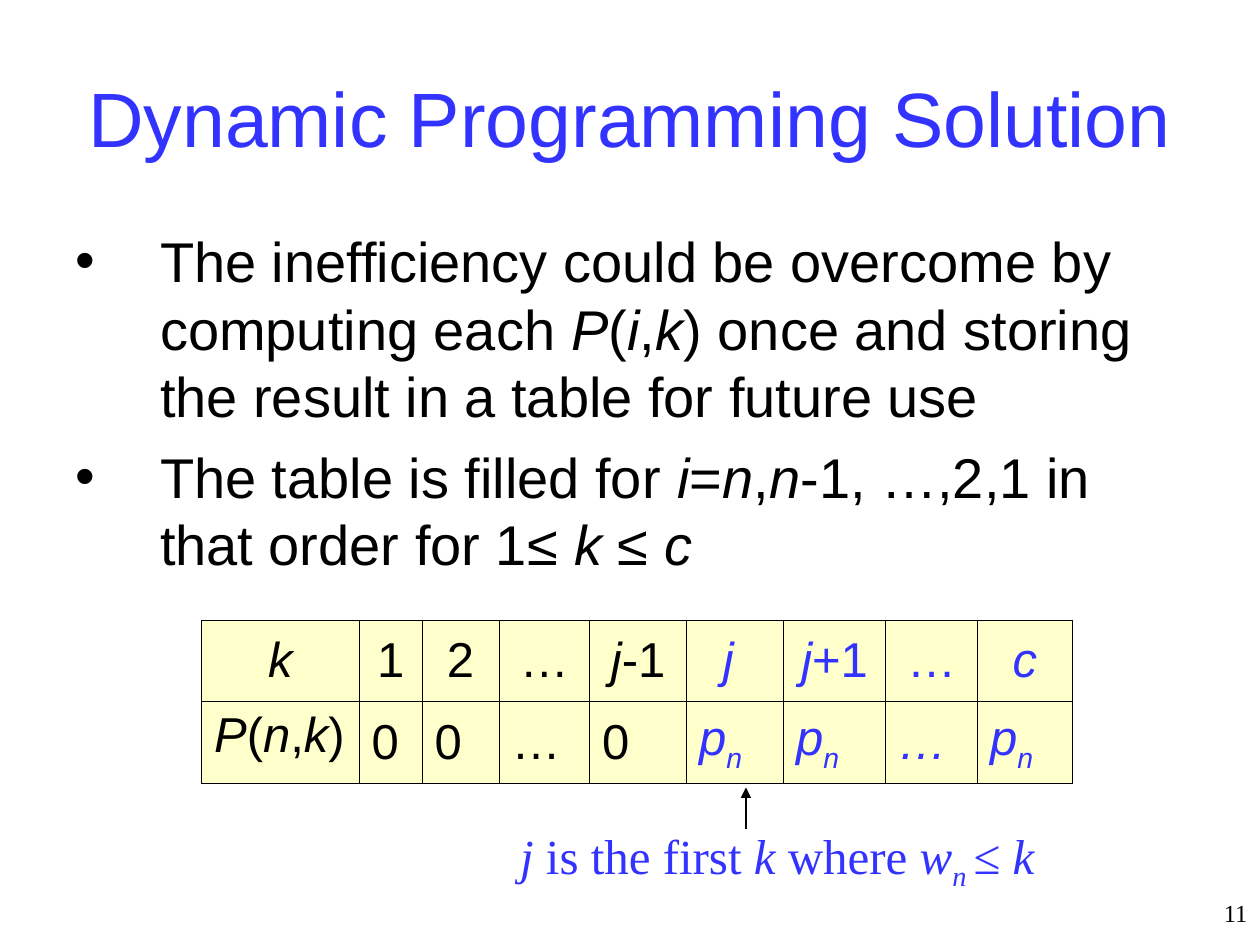
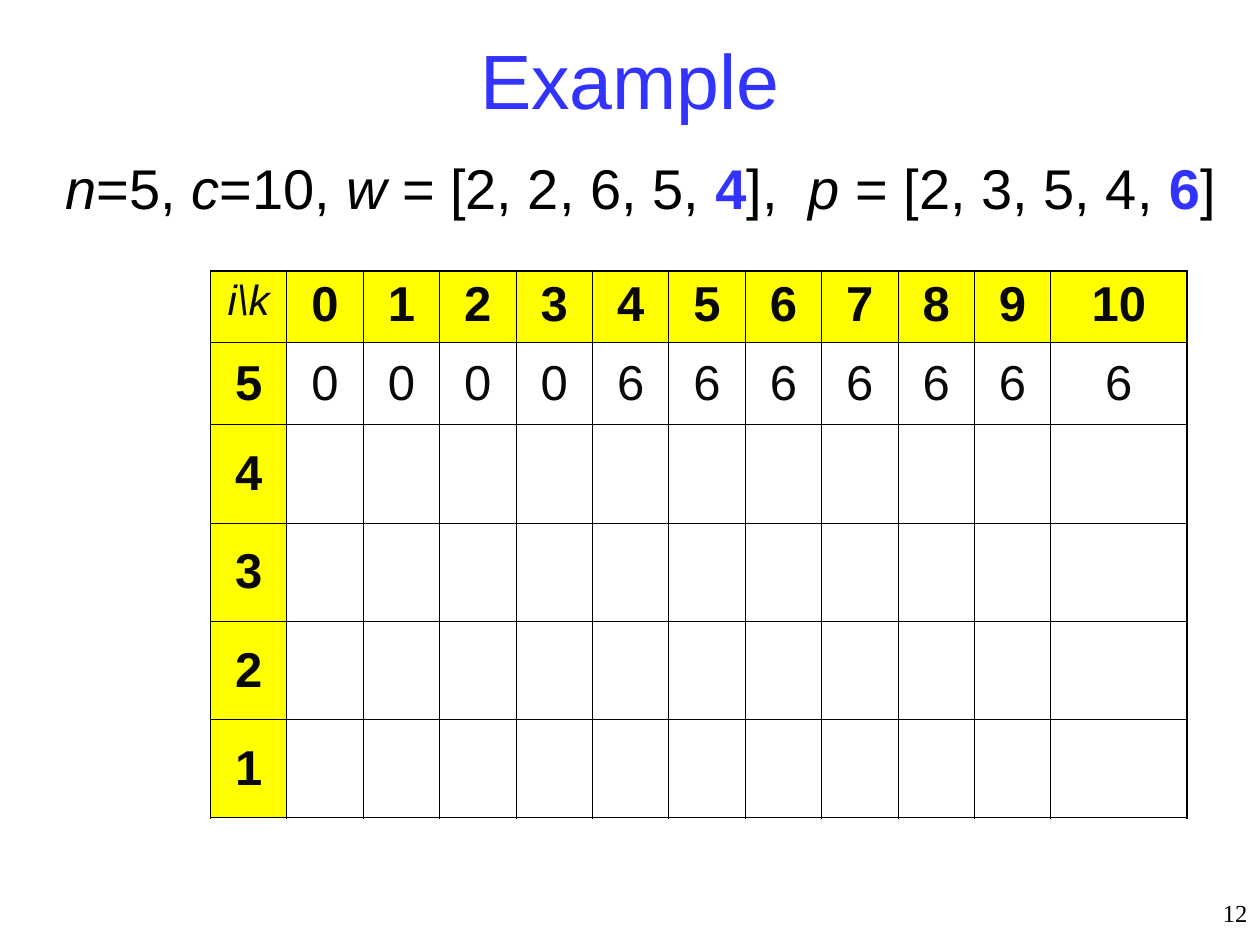
from dataclasses import dataclass, field, replace

from lxml import etree
from pptx import Presentation
from pptx.dml.color import RGBColor
from pptx.enum.shapes import MSO_CONNECTOR
from pptx.enum.text import MSO_ANCHOR, MSO_AUTO_SIZE, PP_ALIGN
from pptx.oxml.ns import qn
from pptx.util import Inches, Pt

LEFT, CENTER, RIGHT = PP_ALIGN.LEFT, PP_ALIGN.CENTER, PP_ALIGN.RIGHT
TOP, MIDDLE = MSO_ANCHOR.TOP, MSO_ANCHOR.MIDDLE
STRAIGHT = MSO_CONNECTOR.STRAIGHT
NO_FIT, GROW = MSO_AUTO_SIZE.NONE, MSO_AUTO_SIZE.SHAPE_TO_FIT_TEXT

BLACK, BLUE, INK = "000000", "3333FF", "080808"
CREAM, YELLOW = "FFFFCC", "FFFF00"
SANS, SERIF = "Arial", "Times New Roman"
THIN, THICK = 0.45, 1.08


@dataclass(frozen=True)
class Span:
    text: str
    italic: bool = False
    bold: bool = False
    subscript: bool = False
    color: str = BLACK


@dataclass(frozen=True)
class Area:
    left: float
    top: float
    width: float
    height: float

    def lengths(self) -> tuple:
        return tuple(Inches(v) for v in (self.left, self.top, self.width, self.height))


@dataclass(frozen=True)
class Cell:
    spans: list[Span] = field(default_factory=list)
    align: PP_ALIGN = CENTER
    anchor: MSO_ANCHOR = MIDDLE
    fill: str | None = None
    size: float = 28


def rgb(color: str) -> RGBColor:
    return RGBColor.from_string(color)


def mixed(text: str, color: str = BLACK) -> list[Span]:
    """Split text into spans; parts between asterisks are italic."""
    return [Span(part, italic=index % 2 == 1, color=color)
            for index, part in enumerate(text.split("*")) if part]


def with_index(letter: str, index: str) -> list[Span]:
    """A blue italic letter followed by a subscript."""
    base = Span(letter, italic=True, color=BLUE)
    return [base, replace(base, text=index, subscript=True)]


def write(para, spans: list[Span], size: float, font: str = SANS) -> None:
    for span in spans:
        run = para.add_run()
        run.text = span.text
        run.font.name, run.font.size = font, Pt(size)
        run.font.italic, run.font.bold = span.italic, span.bold
        run.font.color.rgb = rgb(span.color)
        if span.subscript:
            run._r.get_or_add_rPr().set("baseline", "-25000")


# Shared slide parts
def add_page(deck, title: str, title_area: Area, number: int):
    page = deck.slides.add_slide(deck.slide_layouts[1])
    box = page.shapes.title
    box.left, box.top, box.width, box.height = title_area.lengths()
    frame = box.text_frame
    frame.auto_size, frame.vertical_anchor = NO_FIT, MIDDLE
    frame.paragraphs[0].alignment = CENTER
    write(frame.paragraphs[0], [Span(title, color=BLUE)], 44)
    add_text(page, Area(7.67, 7.08, 2.33, 0.42), [Span(str(number))], 14, RIGHT)
    return page


def add_text(page, area: Area, spans: list[Span], size: float,
             align: PP_ALIGN = LEFT, wrap: bool = True) -> None:
    frame = page.shapes.add_textbox(*area.lengths()).text_frame
    frame.word_wrap = wrap
    frame.auto_size = NO_FIT if wrap else GROW
    frame.paragraphs[0].alignment = align
    write(frame.paragraphs[0], spans, size, SERIF)


def fill_body(page, area: Area, items: list[list[Span]], indent: float, bullet: bool) -> None:
    box = page.placeholders[1]
    box.left, box.top, box.width, box.height = area.lengths()
    frame = box.text_frame
    frame.auto_size, frame.vertical_anchor = NO_FIT, TOP
    for index, spans in enumerate(items):
        para = frame.add_paragraph() if index else frame.paragraphs[0]
        para.space_before = Pt(8 if index else 0)
        properties = para._p.get_or_add_pPr()
        properties.set("marL", str(Inches(indent)))
        properties.set("indent", str(-Inches(indent)))
        if bullet:
            etree.SubElement(properties, qn("a:buChar")).set("char", "•")
        else:
            etree.SubElement(properties, qn("a:buNone"))
        write(para, spans, 32)


def add_border(cell, side: str, width: float) -> None:
    line = etree.SubElement(cell._tc.get_or_add_tcPr(), qn(f"a:ln{side}"))
    line.set("w", str(Pt(width)))
    solid = etree.SubElement(line, qn("a:solidFill"))
    etree.SubElement(solid, qn("a:srgbClr")).set("val", BLACK)


def add_grid(page, area: Area, widths: list[float], heights: list[float],
             rows: list[list[Cell]], outline: float = THIN) -> None:
    table = page.shapes.add_table(len(heights), len(widths), *area.lengths()).table
    table.first_row = table.horz_banding = False
    for column, width in zip(table.columns, widths):
        column.width = Inches(width)
    for row, height in zip(table.rows, heights):
        row.height = Inches(height)
    last_row, last_column = len(heights) - 1, len(widths) - 1
    for r, row in enumerate(rows):
        for c, content in enumerate(row):
            cell = table.cell(r, c)
            edges = {"L": c == 0, "R": c == last_column, "T": r == 0, "B": r == last_row}
            for side, outer in edges.items():
                add_border(cell, side, outline if outer else THIN)
            if content.fill:
                cell.fill.solid()
                cell.fill.fore_color.rgb = rgb(content.fill)
            else:
                cell.fill.background()
            cell.vertical_anchor = content.anchor
            para = cell.text_frame.paragraphs[0]
            para.alignment = content.align
            write(para, content.spans, content.size)


def add_arrow(page, start: tuple[float, float], end: tuple[float, float]) -> None:
    arrow = page.shapes.add_connector(STRAIGHT, *(Inches(v) for v in (*start, *end)))
    arrow.line.color.rgb = rgb(BLACK)
    arrow.line.width = Pt(0.75)
    etree.SubElement(arrow.line._get_or_add_ln(), qn("a:tailEnd")).set("type", "triangle")
    etree.SubElement(arrow._element.spPr, qn("a:effectLst"))


# Slide 11: filling the last row of the table
def build_solution(deck) -> None:
    page = add_page(deck, "Dynamic Programming Solution", Area(0.5, 0.3, 9, 1.25), 11)
    fill_body(page, Area(0.5, 1.75, 9, 4.95), [
        mixed("The inefficiency could be overcome by computing each *P*(*i*,*k*) "
              "once and storing the result in a table for future use"),
        mixed("The table is filled for *i*=*n*,*n*-1, …,2,1 in that order for 1≤ *k *≤ *c*"),
    ], indent=0.67, bullet=True)

    capacities = [mixed(text) for text in ("*k*", "1", "2", "…", "*j*-1")]
    capacities += [mixed(text, BLUE) for text in ("*j *", "*j*+1", "…", "*c*")]
    profit = with_index("p", "n")
    profits = [mixed(text) for text in ("0", "0", "…", "0")]
    profits += [profit, profit, mixed("*…*", BLUE), profit]
    rows = [
        [Cell(spans, fill=CREAM) for spans in capacities],
        [Cell(mixed("*P*(*n*,*k*)"), LEFT, TOP, CREAM)]
        + [Cell(spans, LEFT, fill=CREAM) for spans in profits],
    ]
    add_grid(page, Area(1.6, 4.92, 6.92, 1.31),
             [1.25, 0.5, 0.61, 0.72, 0.77, 0.77, 0.81, 0.73, 0.75], [0.65] * 2, rows)

    add_arrow(page, (5.92, 6.58), (5.92, 6.25))
    note = mixed("*j* is the first *k* where ", BLUE) + with_index("w", "n ")
    add_text(page, Area(4.03, 6.5, 4.32, 0.63), note + mixed("≤ *k*", BLUE), 28, wrap=False)


# Slide 12: worked example
def build_example(deck) -> None:
    page = add_page(deck, "Example", Area(0.75, 0.21, 8.5, 0.83), 12)
    fill_body(page, Area(0.42, 1.17, 9.42, 0.92), [
        mixed("*n*=5, *c*=10, *w* = [2, 2, 6, 5, ")
        + [Span("4", bold=True, color=BLUE)]
        + mixed("],  *p* = [2, 3, 5, 4, ")
        + [Span("6", bold=True, color=BLUE), Span("]")],
    ], indent=0.38, bullet=False)

    capacity, last_weight, last_profit = 10, 4, 6
    corner = Cell([Span("i\\k", italic=True, color=INK)], CENTER, TOP, YELLOW, 24)
    rows = [[corner] + [Cell([Span(str(k), bold=True, color=INK)], CENTER, TOP, YELLOW)
                        for k in range(capacity + 1)]]
    for item in range(5, 0, -1):
        label = Cell([Span(str(item), bold=True, color=INK)], fill=YELLOW)
        if item == 5:
            values = [Cell([Span(str(last_profit if k >= last_weight else 0), color=INK)])
                      for k in range(capacity + 1)]
        else:
            values = [Cell()] * (capacity + 1)
        rows.append([label] + values)

    area, last_width = Area(1.67, 2.15, 7.75, 4.33), 1.08
    narrow = (area.width - last_width) / (capacity + 1)
    add_grid(page, area, [narrow] * (capacity + 1) + [last_width],
             [0.57, 0.65] + [0.78] * 4, rows, THICK)


def main() -> None:
    deck = Presentation()
    deck.slide_width, deck.slide_height = Inches(10), Inches(7.5)
    build_solution(deck)
    build_example(deck)
    deck.save("out.pptx")


if __name__ == "__main__":
    main()
